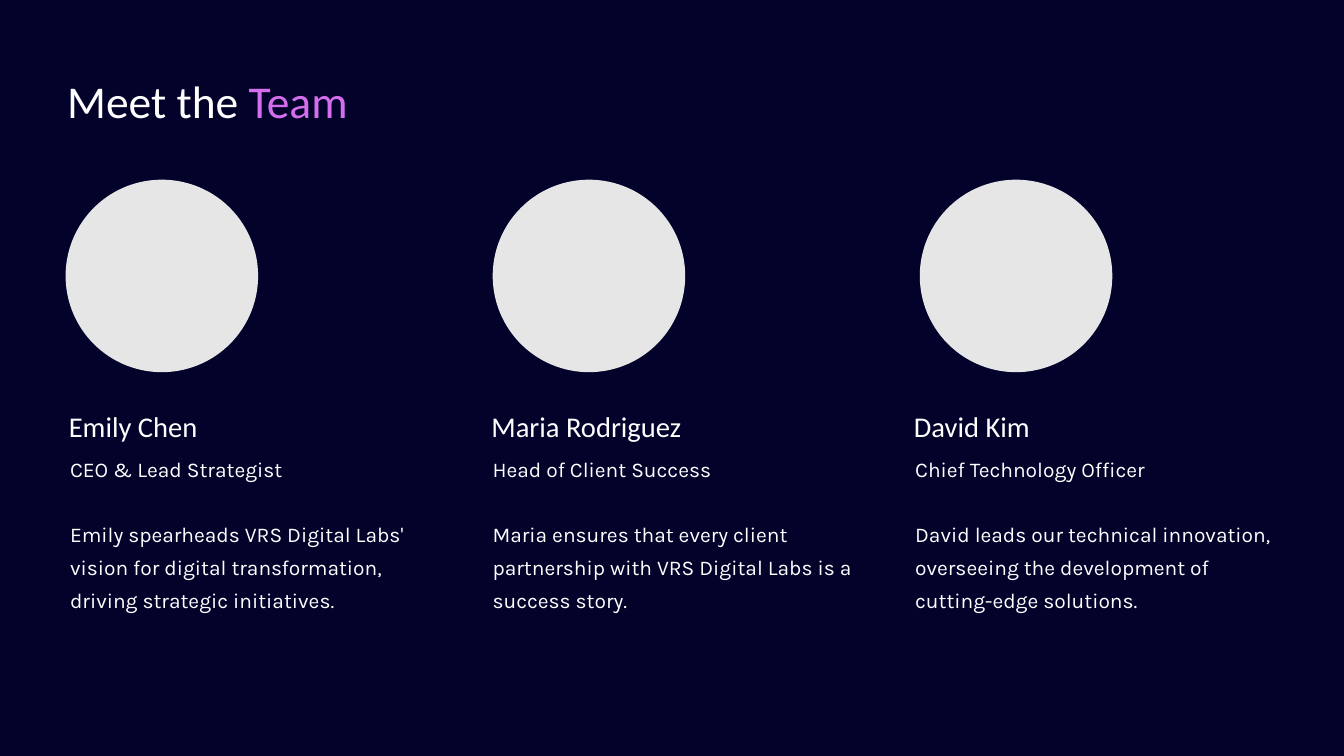
from pptx import Presentation
from pptx.dml.color import RGBColor
from pptx.enum import shapes, text
from pptx.util import Pt

NAVY, WHITE, PINK, GREY = "02022B", "FEFEFE", "D56EED", "E7E6E6"
HEAD, BODY = "Calibri", "Karla"

TITLE = [("Meet the ", WHITE), ("Team", PINK)]
TEAM = [
    ("Emily Chen", "CEO & Lead Strategist",
     "Emily spearheads VRS Digital Labs' vision for digital transformation, "
     "driving strategic initiatives."),
    ("Maria Rodriguez", "Head of Client Success",
     "Maria ensures that every client partnership with VRS Digital Labs is a "
     "success story."),
    ("David Kim", "Chief Technology Officer",
     "David leads our technical innovation, overseeing the development of "
     "cutting-edge solutions."),
]
FIELDS = [
    (59, 342.7, 304, 24, HEAD, 24.5, 1.26),
    (60, 378, 311, 24, BODY, 18, 1.63),
    (60, 440.6, 311, 79, BODY, 18, 1.3),
]
TEXT_STEP = 362.2
CIRCLE_LEFT, CIRCLE_TOP, CIRCLE_SIZE, CIRCLE_STEP = 56.2, 154, 165, 366.1


def color(value):
    return RGBColor.from_string(value)


def write(sp, runs, font, size, spacing):
    tf = sp.text_frame
    tf.word_wrap = True
    tf.auto_size = text.MSO_AUTO_SIZE.NONE
    tf.vertical_anchor = text.MSO_ANCHOR.TOP
    tf.margin_left = tf.margin_top = tf.margin_right = tf.margin_bottom = 0
    p = tf.paragraphs[0]
    p.alignment = text.PP_ALIGN.LEFT
    p.line_spacing = spacing
    for words, hue in runs:
        r = p.add_run()
        r.text = words
        r.font.name = font
        r.font.size = Pt(size)
        r.font.color.rgb = color(hue)


prs = Presentation()
prs.slide_width, prs.slide_height = Pt(1152), Pt(648)
s = prs.slides.add_slide(prs.slide_layouts[5])
s.background.fill.solid()
s.background.fill.fore_color.rgb = color(NAVY)

title = s.shapes.title
title.left, title.top, title.width, title.height = Pt(57.6), Pt(51), Pt(1031), Pt(44.6)
write(title, TITLE, HEAD, 39, 1.25)

for i, member in enumerate(TEAM):
    sp = s.shapes.add_shape(
        shapes.MSO_SHAPE.OVAL, Pt(CIRCLE_LEFT + i * CIRCLE_STEP), Pt(CIRCLE_TOP),
        Pt(CIRCLE_SIZE), Pt(CIRCLE_SIZE))
    sp.shadow.inherit = False
    sp.fill.solid()
    sp.fill.fore_color.rgb = color(GREY)
    sp.line.fill.background()
    for words, (left, top, width, height, font, size, spacing) in zip(member, FIELDS):
        sp = s.shapes.add_textbox(
            Pt(left + i * TEXT_STEP), Pt(top), Pt(width), Pt(height))
        write(sp, [(words, WHITE)], font, size, spacing)

prs.save("out.pptx")
